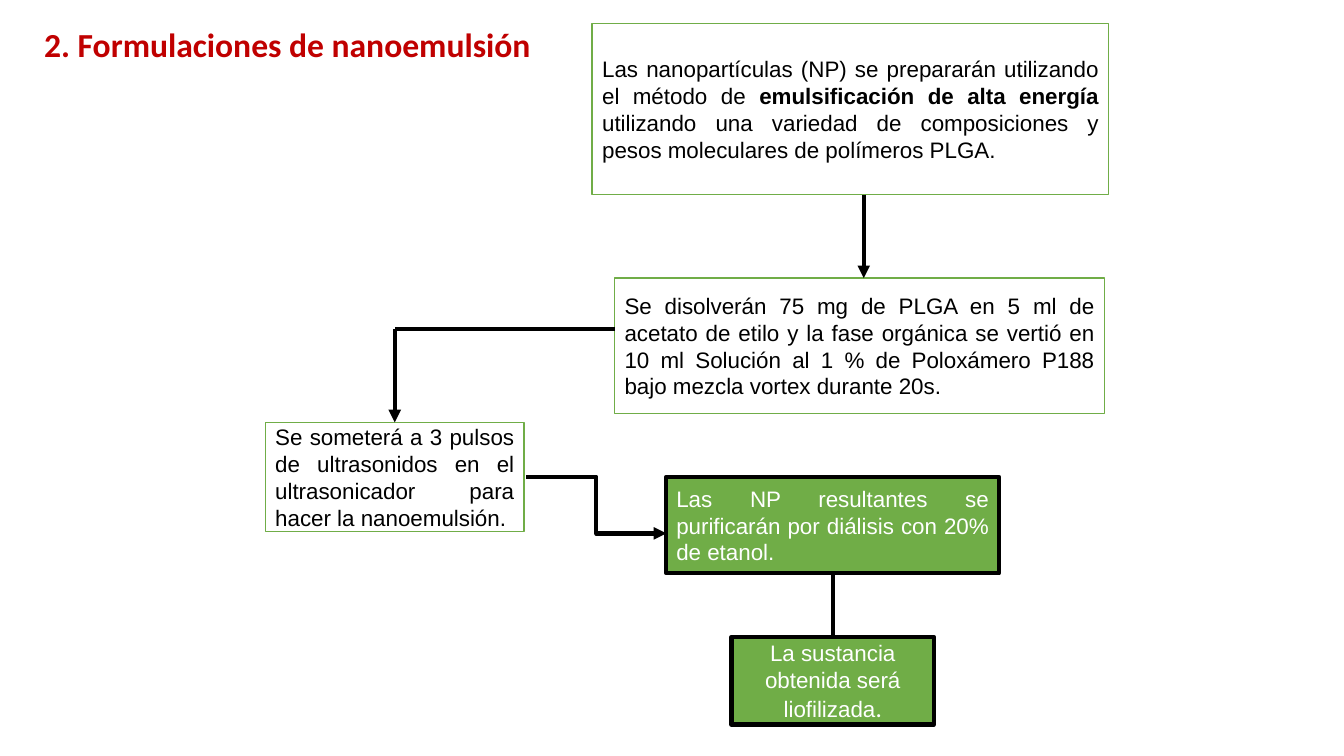
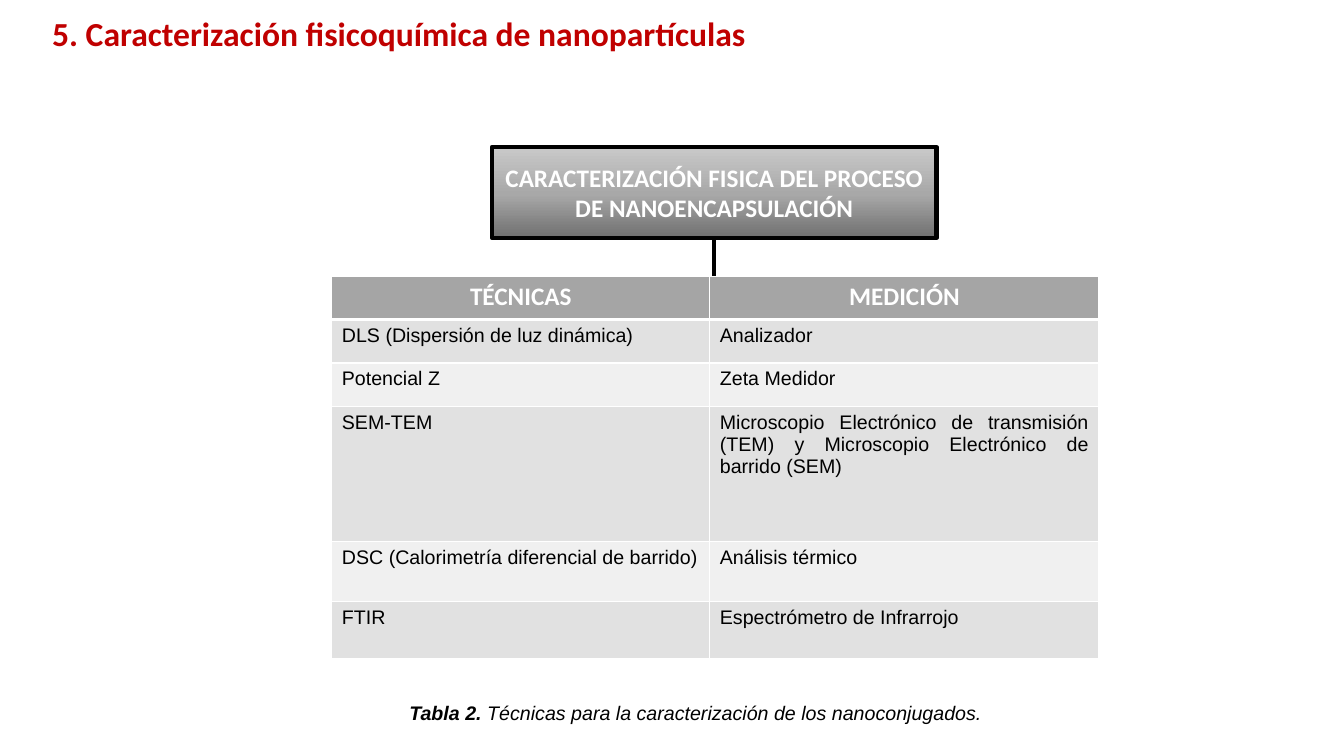
from copy import deepcopy

from lxml import etree
from pptx import Presentation
from pptx.dml.color import RGBColor
from pptx.enum.shapes import MSO_CONNECTOR, MSO_SHAPE
from pptx.enum.text import MSO_ANCHOR, PP_ALIGN
from pptx.oxml.ns import qn
from pptx.util import Pt

RECT = MSO_SHAPE.RECTANGLE
STRAIGHT, ELBOW = MSO_CONNECTOR.STRAIGHT, MSO_CONNECTOR.ELBOW
LEFT, CENTER, JUSTIFY = PP_ALIGN.LEFT, PP_ALIGN.CENTER, PP_ALIGN.JUSTIFY
MIDDLE = MSO_ANCHOR.MIDDLE

BLACK, WHITE, GREEN, RED = "000000", "FFFFFF", "70AD47", "C00000"
HEADER_FILL, BAND_FILLS = "A5A5A5", ("E1E1E1", "F0F0F0")
BANNER_STOPS = [(0, "6F6F6F"), (0.48, "A8A8A8"), (1, "C9C9C9")]

OUTLINED = {"fill": WHITE, "line": GREEN, "weight": 1}
FILLED = {"fill": GREEN, "line": BLACK, "weight": 3}

# Slide 1: (left, top, width, height), box style, alignment, runs
STEPS = [
    ((423, 16.6, 369, 122.4), OUTLINED, JUSTIFY, [
        ("Las nanopartículas (NP) se prepararán utilizando el método de ", {}),
        ("emulsificación de alta energía ", {"bold": True}),
        ("utilizando una variedad de composiciones y pesos moleculares de "
         "polímeros PLGA.", {})]),
    ((439, 198.7, 350, 96.5), OUTLINED, JUSTIFY, [
        ("Se disolverán 75 mg de PLGA en 5 ml de acetato de etilo y la fase "
         "orgánica se vertió en 10 ml Solución al 1 % de Poloxámero P188 bajo "
         "mezcla vortex durante 20s.", {})]),
    ((189.5, 301.7, 185, 77.8), OUTLINED, JUSTIFY, [
        ("Se someterá a 3 pulsos de ultrasonidos en el ultrasonicador para "
         "hacer la nanoemulsión.", {})]),
    ((476, 340.6, 237.6, 69), FILLED, JUSTIFY, [
        ("Las NP resultantes se purificarán por diálisis con 20% de etanol.", {})]),
    ((522.5, 455, 144.6, 62.6), FILLED, CENTER, [
        ("La sustancia obtenida será liofilizada", {}),
        (".", {"size": 18, "font": "Calibri"})]),
]

# Slide 2
BANNER = (351.4, 105, 317.5, 65)
BANNER_TEXT = "CARACTERIZACIÓN FISICA DEL PROCESO DE NANOENCAPSULACIÓN"
TABLE_LEFT, TABLE_TOP = 237, 197.3
COL_WIDTHS = [270, 278]
ROW_HEIGHTS = [31, 31, 31, 96.5, 43, 41]
ROWS = [
    ("TÉCNICAS", "MEDICIÓN"),
    ("DLS (Dispersión de luz dinámica)", "Analizador"),
    ("Potencial Z", "Zeta Medidor"),
    ("SEM-TEM", "Microscopio Electrónico de transmisión (TEM) y Microscopio "
                "Electrónico de barrido (SEM)"),
    ("DSC (Calorimetría diferencial de barrido)", "Análisis térmico"),
    ("FTIR", "Espectrómetro de Infrarrojo"),
]
CAPTION = [("Tabla 2. ", {"bold": True}),
           ("Técnicas para la caracterización de los nanoconjugados.", {})]


def rgb(color):
    return RGBColor.from_string(color)


def write(tf, runs, align=LEFT, **base):
    """Fill one paragraph; runs is a string or (text, format overrides) pairs."""
    if isinstance(runs, str):
        runs = [(runs, {})]
    p = tf.paragraphs[0]
    p.alignment = align
    for text, changes in runs:
        look = {"font": "Arial", "size": 16, "color": BLACK, "bold": False,
                "italic": False, **base, **changes}
        r = p.add_run()
        r.text = text
        r.font.name = look["font"]
        r.font.size = Pt(look["size"])
        r.font.bold = look["bold"]
        r.font.italic = look["italic"]
        r.font.color.rgb = rgb(look["color"])


def add_text(s, at, runs, wrap=True, **look):
    tf = s.shapes.add_textbox(*map(Pt, at)).text_frame
    tf.word_wrap = wrap
    write(tf, runs, **look)


def add_title(s, left, top, width, text):
    add_text(s, (left, top, width, 36), text, wrap=False,
             font="Calibri", size=24, color=RED, bold=True)


def add_box(s, at, runs, fill, line, weight, **look):
    """Add a rectangle; fill is a colour or a list of gradient stops, bottom up."""
    sp = s.shapes.add_shape(RECT, *map(Pt, at))
    sp.shadow.inherit = False
    if isinstance(fill, str):
        sp.fill.solid()
        sp.fill.fore_color.rgb = rgb(fill)
    else:
        set_gradient(sp, fill)
    sp.line.color.rgb = rgb(line)
    sp.line.width = Pt(weight)
    tf = sp.text_frame
    tf.word_wrap = True
    tf.vertical_anchor = MIDDLE
    write(tf, runs, **look)


def set_gradient(sp, stops):
    sp.fill.gradient()
    sp.fill.gradient_angle = 90
    stop_list = next(sp.element.spPr.iter(qn("a:gsLst")))
    while len(stop_list) < len(stops):
        stop_list.append(deepcopy(stop_list[-1]))
    for stop, (position, color) in zip(sp.fill.gradient_stops, stops):
        stop.position = position
        stop.color.rgb = rgb(color)


def connect(s, start, end, kind=STRAIGHT, arrow=True):
    c = s.shapes.add_connector(kind, *map(Pt, start + end))
    c.line.color.rgb = rgb(BLACK)
    c.line.width = Pt(3)
    if arrow:
        etree.SubElement(c.line._get_or_add_ln(), qn("a:tailEnd"), type="triangle")
    etree.SubElement(c.element.spPr, qn("a:effectLst"))


def set_borders(cell, bottom):
    """Draw white borders, 1 pt except for the bottom one."""
    tc_pr = cell._tc.get_or_add_tcPr()
    for side, weight in (("L", 1), ("R", 1), ("T", 1), ("B", bottom)):
        ln = etree.SubElement(tc_pr, qn(f"a:ln{side}"), w=str(Pt(weight)))
        fill = etree.SubElement(ln, qn("a:solidFill"))
        etree.SubElement(fill, qn("a:srgbClr"), val=WHITE)


def add_techniques_table(s):
    frame = s.shapes.add_table(len(ROWS), len(COL_WIDTHS), Pt(TABLE_LEFT), Pt(TABLE_TOP),
                               Pt(sum(COL_WIDTHS)), Pt(sum(ROW_HEIGHTS)))
    table = frame.table
    for column, width in zip(table.columns, COL_WIDTHS):
        column.width = Pt(width)
    for i, (row, height) in enumerate(zip(table.rows, ROW_HEIGHTS)):
        row.height = Pt(height)
        header = i == 0
        if header:
            look = {"align": CENTER, "font": "Calibri", "size": 18,
                    "color": WHITE, "bold": True}
        else:
            look = {"align": JUSTIFY, "size": 14}
        for cell, text in zip(row.cells, ROWS[i]):
            set_borders(cell, bottom=3 if header else 1)
            cell.fill.solid()
            cell.fill.fore_color.rgb = rgb(HEADER_FILL if header else BAND_FILLS[(i - 1) % 2])
            write(cell.text_frame, text, **look)


def build_formulation(s):
    add_title(s, 24.5, 13.7, 365, "2. Formulaciones de nanoemulsión")
    for at, style, align, runs in STEPS:
        color = WHITE if style is FILLED else BLACK
        add_box(s, at, runs, align=align, color=color, **style)

    prepare, dissolve, sonicate, purify, dry = [step[0] for step in STEPS]
    down_x, turn_y = 617, 235
    sonicate_x = sonicate[0] + sonicate[2] / 2
    purify_x = purify[0] + purify[2] / 2
    connect(s, (down_x, prepare[1] + prepare[3]), (down_x, dissolve[1]))
    connect(s, (dissolve[0], turn_y), (sonicate_x, turn_y), arrow=False)
    connect(s, (sonicate_x, turn_y), (sonicate_x, sonicate[1]))
    connect(s, (376, purify[1]), (purify[0], 381), kind=ELBOW)
    connect(s, (purify_x, purify[1] + purify[3]), (purify_x, dry[1]), arrow=False)


def build_characterization(s):
    add_title(s, 30.2, 5.8, 515, "5. Caracterización fisicoquímica de nanopartículas")
    left, top, width, height = BANNER
    middle = left + width / 2
    connect(s, (middle, top + height), (middle, TABLE_TOP), arrow=False)
    add_box(s, BANNER, BANNER_TEXT, BANNER_STOPS, BLACK, 3, align=CENTER,
            font="Calibri", size=18, color=WHITE, bold=True)
    add_techniques_table(s)
    add_text(s, (237, 497, 520, 24.5), CAPTION, align=CENTER, size=14, italic=True)


def main():
    prs = Presentation()
    prs.slide_width, prs.slide_height = Pt(960), Pt(540)
    for build in (build_formulation, build_characterization):
        build(prs.slides.add_slide(prs.slide_layouts[6]))
    prs.save("out.pptx")


if __name__ == "__main__":
    main()
